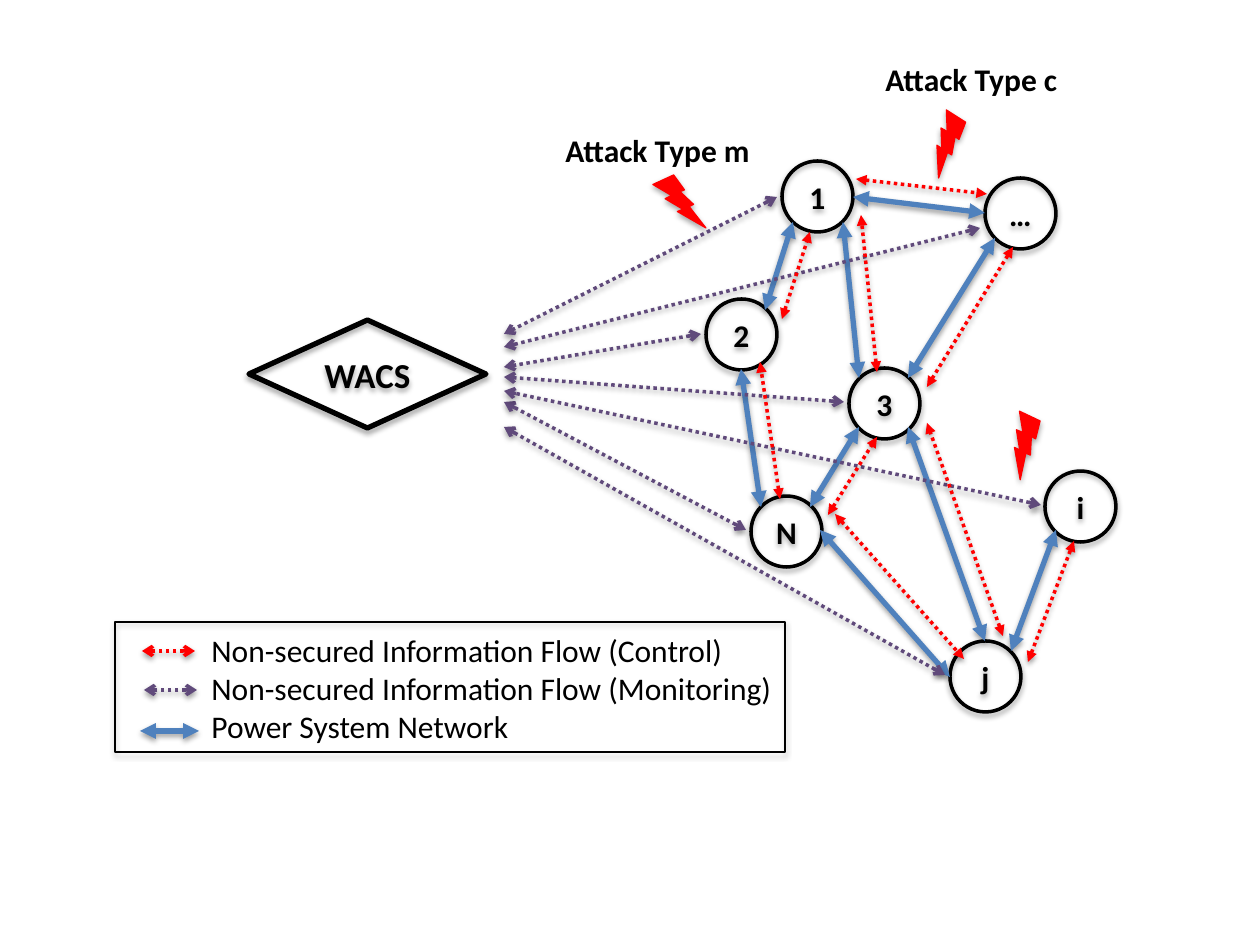
from pptx import Presentation
from pptx.util import Pt
from pptx.dml.color import RGBColor
from pptx.enum.dml import MSO_LINE
from pptx.enum.shapes import MSO_SHAPE as SHAPE, MSO_CONNECTOR
from pptx.enum.text import MSO_ANCHOR, PP_ALIGN
from pptx.oxml import parse_xml
from pptx.oxml.ns import nsdecls
from lxml import etree

PX = 914400 // 126
BLACK, RED, BLUE, PURPLE = "000000", "FF0000", "4F81BD", "604A7B"

prs = Presentation()
prs.slide_width, prs.slide_height = 1260 * PX, 945 * PX
s = prs.slides.add_slide(prs.slide_layouts[6])


def style(sp, color, width, dist, alpha):
    sp.line.color.rgb = RGBColor.from_string(color)
    sp.line.width = Pt(width)
    for old in sp._element.spPr.findall("{*}effectLst"):
        sp._element.spPr.remove(old)
    sp._element.spPr.append(parse_xml(
        f'<a:effectLst {nsdecls("a")}><a:outerShdw blurRad="40000" dist="{dist}" '
        f'dir="5400000" rotWithShape="0"><a:srgbClr val="000000">'
        f'<a:alpha val="{alpha}"/></a:srgbClr></a:outerShdw></a:effectLst>'))


def write(sp, text, size, bold):
    tf = sp.text_frame
    tf.text = text
    for p in tf.paragraphs:
        for r in p.runs:
            r.font.name, r.font.size, r.font.bold = "Calibri", Pt(size), bold
            r.font.color.rgb = RGBColor.from_string(BLACK)


D = 71
nodes = [("1", 782, 161), ("2", 706, 299), ("3", 849, 368), ("…", 985, 178),
         ("N", 751, 496), ("i", 1045, 471), ("j", 950, 641)]
outlines = [(SHAPE.OVAL, x, y, D, D, 2, name, 18) for name, x, y in nodes]
outlines += [(SHAPE.DIAMOND, 249, 320, 237, 108, 3, "WACS", 20),
             (SHAPE.RECTANGLE, 115, 622, 670, 130, 0.75, "", 18)]
for kind, x, y, w, h, width, text, size in outlines:
    sp = s.shapes.add_shape(kind, x * PX, y * PX, w * PX, h * PX)
    sp.fill.background()
    style(sp, BLACK, width, 23000, 35000)
    if text:
        write(sp, text, size, True)
        sp.text_frame.vertical_anchor = MSO_ANCHOR.MIDDLE
        sp.text_frame.paragraphs[0].alignment = PP_ALIGN.CENTER

for x, y, angle in [(653, 175, 0), (920, 115, 57.2), (997, 416, 50)]:
    sp = s.shapes.add_shape(SHAPE.LIGHTNING_BOLT, x * PX, y * PX, 53 * PX, 53 * PX)
    sp.rotation = angle
    sp.fill.solid()
    sp.fill.fore_color.rgb = RGBColor.from_string(RED)
    style(sp, RED, 0.75, 23000, 35000)

network = [(765, 310, 793, 222), (859, 378, 843, 222), (761, 507, 741, 369),
           (810, 507, 859, 427), (820, 530, 950, 677), (853, 197, 985, 213),
           (1011, 651, 1056, 530), (985, 641, 908, 427), (908, 378, 995, 238),
           (140, 731, 199, 731)]
monitoring = [(x, y, 504, end) for x, y, end in [
    (777, 197, 334), (701, 334, 367), (746, 530, 402), (844, 402, 377),
    (945, 675, 427), (980, 228, 347), (1041, 505, 391)]]
monitoring.append((197, 690, 144, 690))
control = [(782, 319, 810, 232), (877, 372, 861, 215), (780, 499, 760, 362),
           (828, 515, 877, 437), (835, 514, 964, 659), (856, 179, 987, 194),
           (1028, 662, 1074, 541), (1003, 636, 927, 423), (927, 387, 1013, 247)]
control_key = [(195, 651, 142, 651)]

for flows, color, width, arrow in [
        (network, BLUE, 3, "triangle"), (monitoring, PURPLE, 2, "arrow"),
        (control, RED, 2, "triangle"), (control_key, RED, 2, "arrow")]:
    for flow in flows:
        line = s.shapes.add_connector(MSO_CONNECTOR.STRAIGHT, *[v * PX for v in flow])
        style(line, color, width, 20000, 38000)
        if color != BLUE:
            line.line.dash_style = MSO_LINE.ROUND_DOT
        ln = line.line._get_or_add_ln()
        for end in ("headEnd", "tailEnd"):
            etree.SubElement(ln, "{http://schemas.openxmlformats.org/drawingml/2006/main}" + end, type=arrow)

legend = "\n".join(["Non-secured Information Flow (Control)",
                    "Non-secured Information Flow (Monitoring)",
                    "Power System Network"])
for text, x, y, w, h, bold, wrap in [
        (legend, 199, 625, 611, 127, False, True),
        ("Attack Type m", 553, 125, 212, 50, True, False),
        ("Attack Type c", 873, 54, 200, 50, True, False)]:
    sp = s.shapes.add_textbox(x * PX, y * PX, w * PX, h * PX)
    write(sp, text, 18, bold)
    sp.text_frame.word_wrap = wrap

prs.save("out.pptx")
